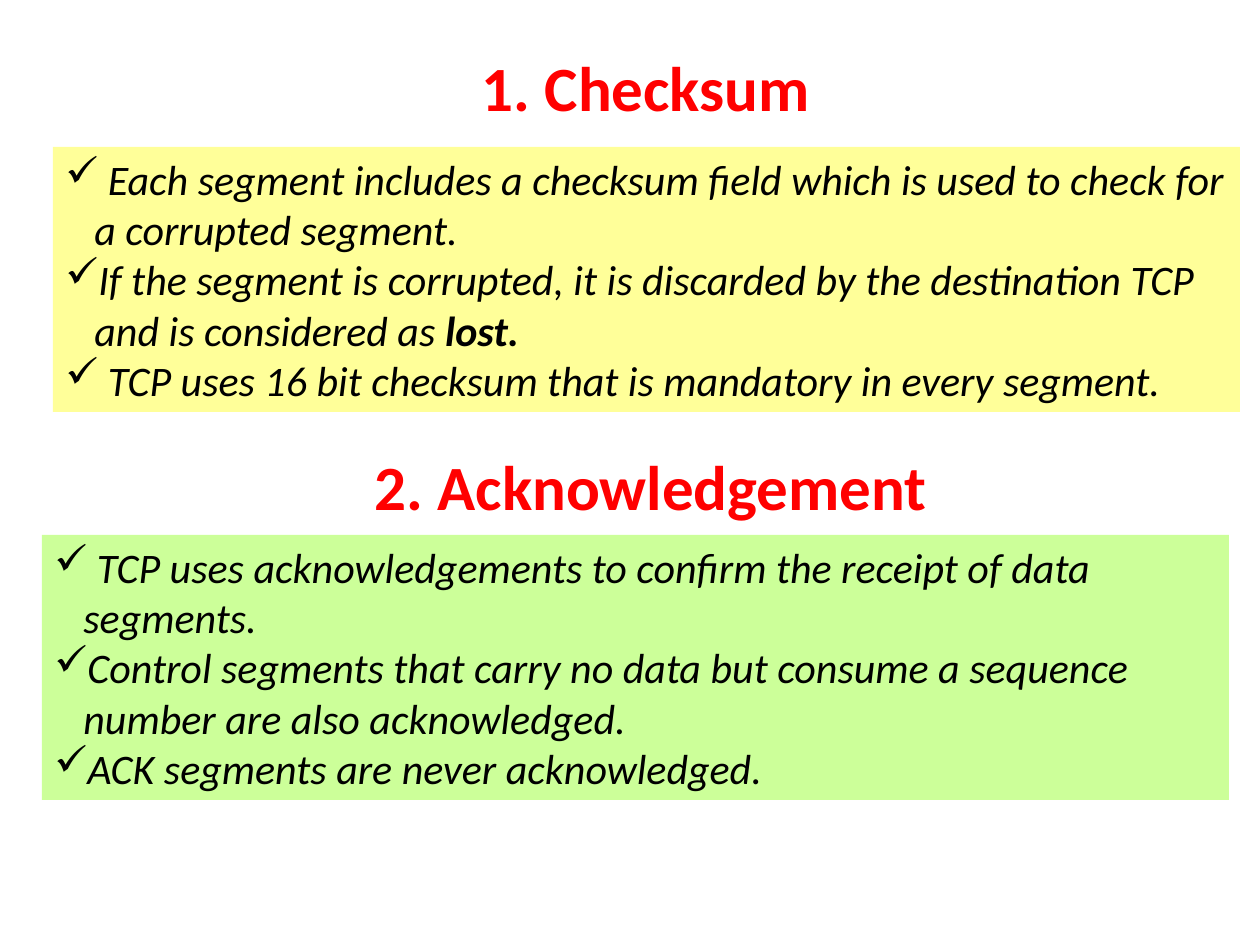
from lxml.etree import SubElement
from pptx import Presentation
from pptx.dml.color import RGBColor
from pptx.enum.shapes import MSO_SHAPE
from pptx.enum.text import MSO_ANCHOR, MSO_AUTO_SIZE, PP_ALIGN
from pptx.oxml.ns import qn
from pptx.util import Pt

PIXEL = 914400 / 126
BULLET_INDENT = 29
TITLE_FORMAT = {"name": "Calibri", "size": Pt(36), "bold": True, "italic": False}
BODY_FORMAT = {"name": "Calibri", "size": Pt(24), "bold": False, "italic": True}
STRONG_FORMAT = {**BODY_FORMAT, "bold": True}

CHECKSUM_POINTS = [
    [(" Each segment includes a checksum field which is used to check for a corrupted segment.", BODY_FORMAT)],
    [("If the segment is corrupted, it is discarded by the destination TCP and is considered as ", BODY_FORMAT),
     ("lost.", STRONG_FORMAT)],
    [(" TCP uses 16 bit checksum that is mandatory in every segment.", BODY_FORMAT)],
]
ACKNOWLEDGEMENT_POINTS = [
    [(" TCP uses acknowledgements to confirm the receipt of data segments.", BODY_FORMAT)],
    [("Control segments that carry no data but consume a sequence number are also acknowledged.", BODY_FORMAT)],
    [("ACK segments are never acknowledged.", BODY_FORMAT)],
]


def px(*lengths):
    return [round(length * PIXEL) for length in lengths]


def color(value):
    return RGBColor.from_string(value)


def add_span(para, text, format_values, hex_color):
    span = para.add_run()
    span.text = text
    for name, value in format_values.items():
        setattr(span.font, name, value)
    span.font.color.rgb = color(hex_color)


def set_frame(frame, wrap):
    values = {"word_wrap": wrap, "auto_size": MSO_AUTO_SIZE.SHAPE_TO_FIT_TEXT,
              "vertical_anchor": MSO_ANCHOR.TOP}
    for name, value in values.items():
        setattr(frame, name, value)


def add_check_bullet(para):
    indent = px(BULLET_INDENT)[0]
    properties = para._p.get_or_add_pPr()
    properties.set("marL", str(indent))
    properties.set("indent", str(-indent))
    bullet_color = SubElement(properties, qn("a:buClr"))
    SubElement(bullet_color, qn("a:srgbClr"), val="000000")
    SubElement(properties, qn("a:buChar"), char="✓")


def add_title(page, left, top, width, text):
    box = page.shapes.add_textbox(*px(left, top, width, 88))
    set_frame(box.text_frame, False)
    para = box.text_frame.paragraphs[0]
    para.alignment = PP_ALIGN.CENTER
    add_span(para, text, TITLE_FORMAT, "FF0000")


def add_panel(page, left, top, fill, points):
    panel = page.shapes.add_shape(MSO_SHAPE.RECTANGLE, *px(left, top, 1187, 265))
    panel.shadow.inherit = False
    panel.fill.solid()
    panel.fill.fore_color.rgb = color(fill)
    panel.line.fill.background()
    frame = panel.text_frame
    set_frame(frame, True)
    for index, spans in enumerate(points):
        para = frame.add_paragraph() if index else frame.paragraphs[0]
        para.alignment = PP_ALIGN.LEFT
        add_check_bullet(para)
        for text, format_values in spans:
            add_span(para, text, format_values, "000000")


def main():
    deck = Presentation()
    deck.slide_width, deck.slide_height = px(1260, 945)
    page = deck.slides.add_slide(deck.slide_layouts[6])
    add_title(page, 469, 42, 354, "1. Checksum")
    add_panel(page, 53, 147, "FFFF99", CHECKSUM_POINTS)
    add_title(page, 362, 441, 578, "2. Acknowledgement")
    add_panel(page, 42, 535, "CCFF99", ACKNOWLEDGEMENT_POINTS)
    deck.save("out.pptx")


if __name__ == "__main__":
    main()
